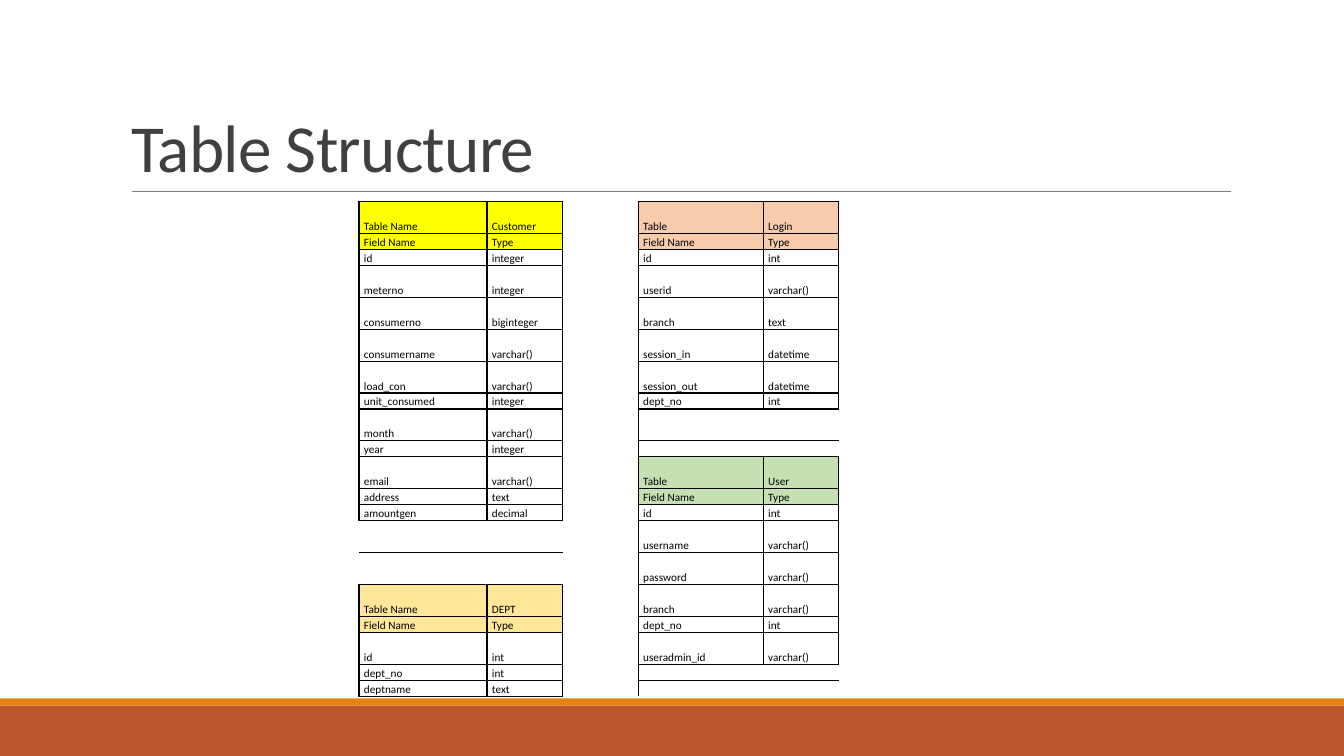
from lxml import etree
from pptx import Presentation
from pptx import util as u
from pptx.dml.color import RGBColor
from pptx.enum import shapes, text
from pptx.oxml.ns import qn

WIDTH, HEIGHT = u.Inches(13.33), u.Inches(7.5)
FONT = "Calibri"
NO_STYLE = "{2D5ABB26-0587-4C30-8999-92F81FD0307C}"
COLORS = {
    "footer": "BD582C", "accent": "E48312", "rule": "808080", "title": "404040",
    "ink": "000000", "customer": "FFFF00", "login": "F8CBAD",
    "user": "C6E0B4", "dept": "FFE699",
}

COLUMNS = [1.27, 0.75, 0.75, 1.24, 0.75]
ROW_COUNT = 20
TALL_ROWS = {0, 3, 4, 5, 6, 8, 10, 13, 14, 15, 17}
ROW_UNIT = u.Inches(4.91) // (ROW_COUNT + len(TALL_ROWS))
SIDES = {"lnL": (0, -1), "lnR": (0, 1), "lnT": (-1, 0), "lnB": (1, 0)}

# Each schema: first row, first column, header colour, label, name, fields
SCHEMAS = [
    (0, 0, "customer", "Table Name", "Customer", [
        ("id", "integer"), ("meterno", "integer"), ("consumerno", "biginteger"),
        ("consumername", "varchar()"), ("load_con", "varchar()"),
        ("unit_consumed", "integer"), ("month", "varchar()"), ("year", "integer"),
        ("email", "varchar()"), ("address", "text"), ("amountgen", "decimal")]),
    (0, 3, "login", "Table", "Login", [
        ("id", "int"), ("userid", "varchar()"), ("branch", "text"),
        ("session_in", "datetime"), ("session_out", "datetime"), ("dept_no", "int")]),
    (10, 3, "user", "Table", "User", [
        ("id", "int"), ("username", "varchar()"), ("password", "varchar()"),
        ("branch", "varchar()"), ("dept_no", "int"), ("useradmin_id", "varchar()")]),
    (15, 0, "dept", "Table Name", "DEPT", [
        ("id", "int"), ("dept_no", "int"), ("deptname", "text")]),
]


def rgb(name):
    return RGBColor.from_string(COLORS[name])


def add_band(slide, top, height, color):
    band = slide.shapes.add_shape(
        shapes.MSO_SHAPE.RECTANGLE, 0, u.Inches(top), WIDTH, u.Inches(height))
    band.shadow.inherit = False
    band.fill.solid()
    band.fill.fore_color.rgb = rgb(color)
    band.line.fill.background()


def add_rule(slide):
    y = u.Inches(1.9)
    rule = slide.shapes.add_connector(
        shapes.MSO_CONNECTOR.STRAIGHT, u.Inches(1.31), y, u.Inches(12.21), y)
    rule.line.color.rgb = rgb("rule")
    rule.line.width = u.Pt(0.5)
    etree.SubElement(rule._element.spPr, qn("a:effectLst"))


def set_title(slide, wording):
    title = slide.shapes.title
    title.left, title.top = u.Inches(1.2), u.Inches(0.31)
    title.width, title.height = u.Inches(11), u.Inches(1.59)
    frame = title.text_frame
    frame.text = wording
    frame.auto_size = text.MSO_AUTO_SIZE.NONE
    frame.vertical_anchor = text.MSO_ANCHOR.BOTTOM
    paragraph = frame.paragraphs[0]
    paragraph.alignment = text.PP_ALIGN.LEFT
    paragraph.line_spacing = 0.85
    font = paragraph.font
    font.name, font.size, font.color.rgb = FONT, u.Pt(48), rgb("title")
    paragraph.runs[0]._r.get_or_add_rPr().set("spc", "-50")


def layout_entries():
    """Map (row, column) to the wording and fill colour of each used cell."""
    entries = {}
    for top, left, color, label, name, fields in SCHEMAS:
        lines = [(label, name), ("Field Name", "Type"), *fields]
        for i, line in enumerate(lines):
            for j, wording in enumerate(line):
                entries[top + i, left + j] = (wording, color if i < 2 else None)
    return entries


def add_border(cell, side):
    border = etree.SubElement(cell._tc.get_or_add_tcPr(), qn(f"a:{side}"), w=str(u.Pt(1)))
    fill = etree.SubElement(border, qn("a:solidFill"))
    etree.SubElement(fill, qn("a:srgbClr"), val=COLORS["ink"])


def format_cell(cell, wording, color):
    cell.margin_left = cell.margin_right = u.Inches(0.05)
    cell.margin_top = cell.margin_bottom = 0
    cell.vertical_anchor = text.MSO_ANCHOR.BOTTOM
    paragraph = cell.text_frame.paragraphs[0]
    paragraph.line_spacing = 1.15
    font = paragraph.font
    font.name, font.size, font.color.rgb = FONT, u.Pt(8), rgb("ink")
    if wording:
        paragraph.space_after = u.Pt(10)
        paragraph.add_run().text = wording
    else:
        etree.SubElement(paragraph._p, qn("a:endParaRPr"), sz="800")
    if color:
        cell.fill.solid()
        cell.fill.fore_color.rgb = rgb(color)
    else:
        cell.fill.background()


def add_schema_table(slide):
    frame = slide.shapes.add_table(
        ROW_COUNT, len(COLUMNS), u.Inches(3.56), u.Inches(2),
        u.Inches(sum(COLUMNS)), u.Inches(4.91))
    table = frame.table
    table.first_row = table.horz_banding = False
    table._tbl.tblPr.find(qn("a:tableStyleId")).text = NO_STYLE
    for column, width in zip(table.columns, COLUMNS):
        column.width = u.Inches(width)
    for i, row in enumerate(table.rows):
        row.height = ROW_UNIT * (2 if i in TALL_ROWS else 1)

    entries = layout_entries()
    for r in range(ROW_COUNT):
        for c in range(len(COLUMNS)):
            cell = table.cell(r, c)
            for side, (down, right) in SIDES.items():
                if (r, c) in entries or (r + down, c + right) in entries:
                    add_border(cell, side)
            format_cell(cell, *entries.get((r, c), ("", None)))


def main():
    deck = Presentation()
    deck.slide_width, deck.slide_height = WIDTH, HEIGHT
    slide = deck.slides.add_slide(deck.slide_layouts[5])
    add_band(slide, 7, 0.5, "footer")
    add_band(slide, 6.93, 0.07, "accent")
    add_rule(slide)
    set_title(slide, "Table Structure")
    add_schema_table(slide)
    deck.save("out.pptx")


if __name__ == "__main__":
    main()
